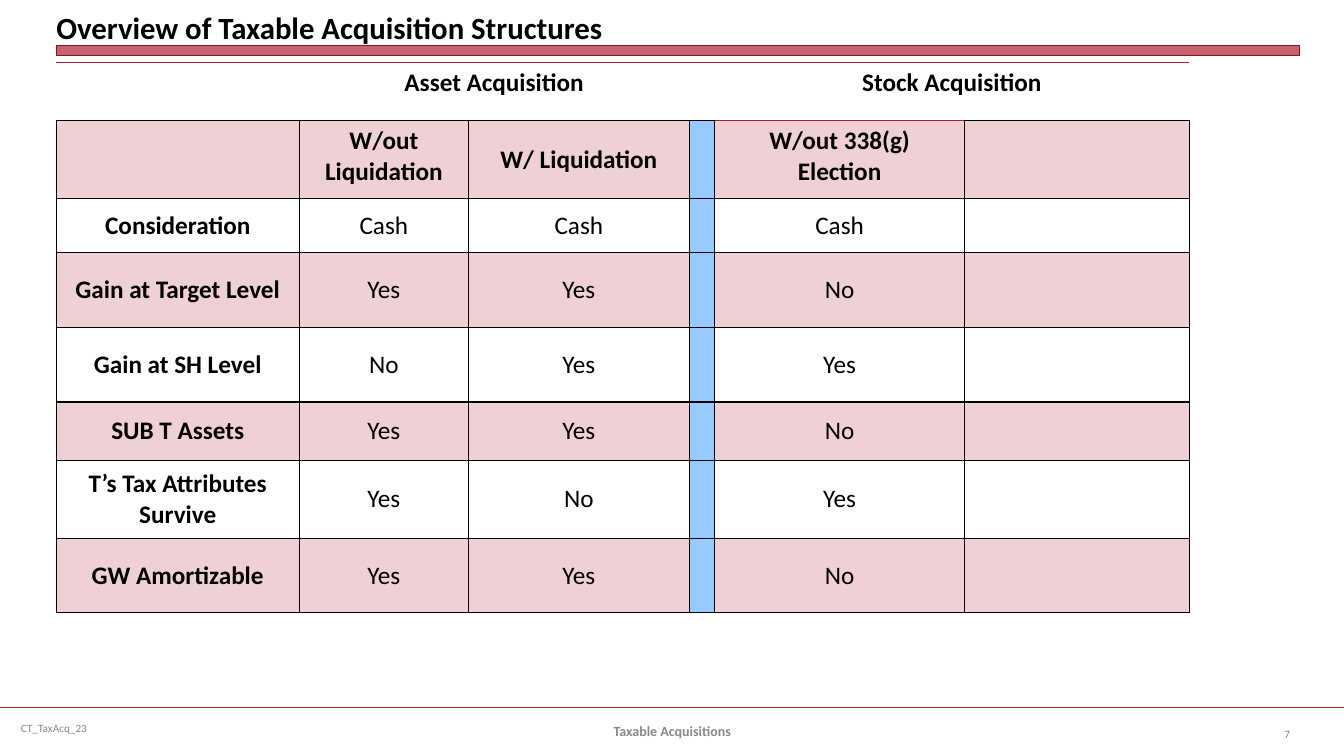
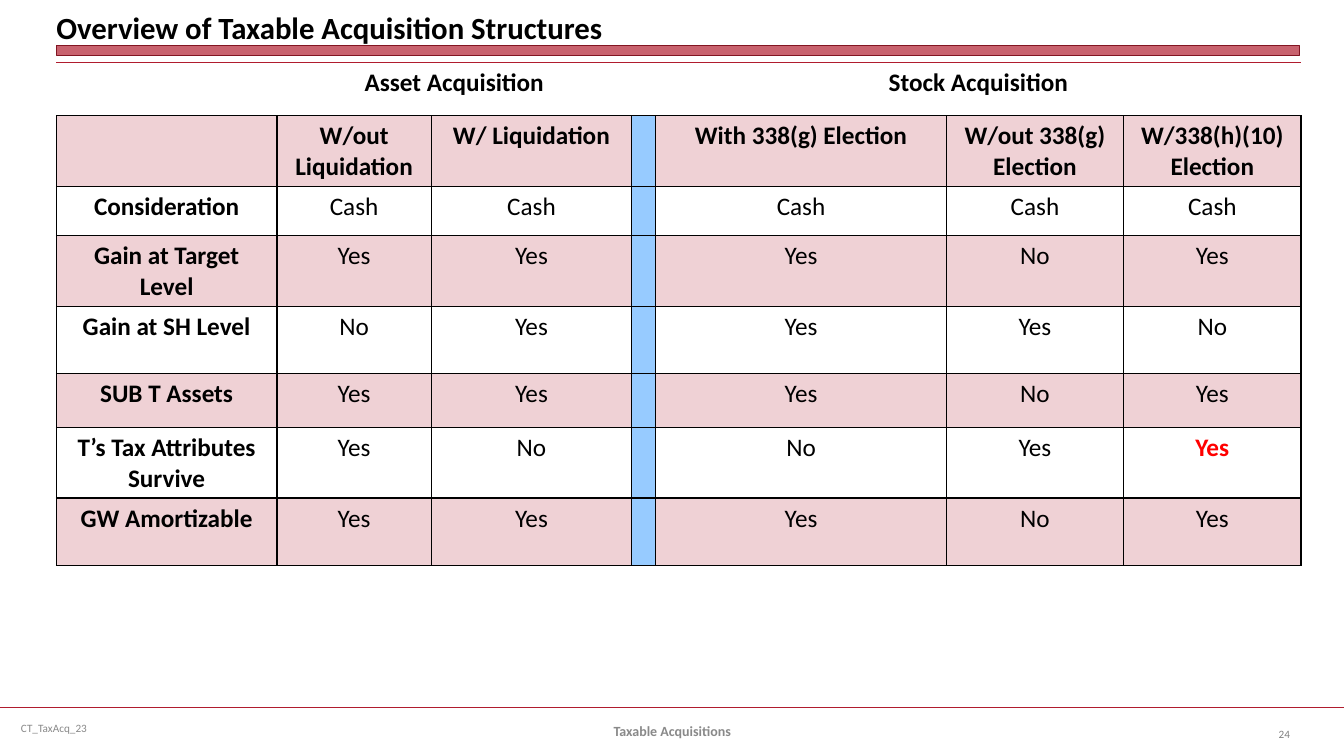
from dataclasses import dataclass
from typing import Any

from lxml import etree
from pptx import Presentation
from pptx.dml.color import RGBColor
from pptx.enum.shapes import MSO_CONNECTOR, MSO_SHAPE
from pptx.enum.text import MSO_ANCHOR, MSO_AUTO_SIZE, PP_ALIGN
from pptx.oxml.ns import qn
from pptx.util import Cm, Pt

LEFT, MID, RIGHT = PP_ALIGN.LEFT, PP_ALIGN.CENTER, PP_ALIGN.RIGHT
TOP, HALF, BASE = MSO_ANCHOR.TOP, MSO_ANCHOR.MIDDLE, MSO_ANCHOR.BOTTOM
FIXED = MSO_AUTO_SIZE.NONE
RECT, LINE = MSO_SHAPE.RECTANGLE, MSO_CONNECTOR.STRAIGHT


@dataclass(frozen=True)
class Theme:
    """Colours, type sizes and shared measures (cm)."""
    font: str = "Calibri"
    ink: str = "000000"
    red: str = "B01C2E"
    edge: str = "821522"
    gap: str = "97CBFF"
    alert: str = "FF0000"
    grey: str = "898989"
    page: str = "808080"
    head: int = 22
    body: int = 18
    foot: int = 10
    small: int = 8
    wide: float = 33.87
    high: float = 19.05
    left: float = 1.42
    span: float = 31.32
    line: float = 1.02
    rule: float = 17.83


T = Theme()


@dataclass(frozen=True)
class Style:
    """Format of one piece of text."""
    size: int
    color: str = T.ink
    bold: bool = False
    align: Any = MID


@dataclass(frozen=True)
class Note:
    """A footer text and its box (cm)."""
    text: str
    left: float
    top: float
    width: float
    style: Style


@dataclass(frozen=True)
class Deal:
    """A table column: heading and one answer per question."""
    head: str = ""
    answers: tuple[str, ...] = ("",) * 6
    alert: int = -1
    split: bool = False


@dataclass(frozen=True)
class Grid:
    """One slide: page number, columns, sizes (cm) and text anchors."""
    page: int
    deals: tuple[Deal, ...]
    cols: tuple[float, ...]
    rows: tuple[float, ...]
    anchor: Any
    high: tuple[int, ...] = ()
    red: tuple[int, ...] = ()


def answer(text: str) -> tuple[str, ...]:
    """Expand Y and N marks into the answers after the cash row."""
    return ("Cash",) + tuple({"Y": "Yes", "N": "No"}[mark] for mark in text)


ASKS = Deal("", ("Consideration", "Gain at Target Level", "Gain at SH Level",
                 "SUB T Assets", "T’s Tax Attributes Survive",
                 "GW Amortizable"))
HOLD = Deal("W/out Liquidation", answer("YNYYY"))
WIND = Deal("W/ Liquidation", answer("YYYNY"))
SPLIT = Deal(split=True)
WITH = Deal("With 338(g) Election", answer("YYYNY"))
SANS = Deal("W/out 338(g) Election", answer("NYNYN"))
JOINT = Deal("W/338(h)(10)\nElection", answer("YNYYY"), alert=4)

GRIDS = (
    Grid(7, (ASKS, HOLD, WIND, SPLIT, SANS, Deal()),
         (6.12, 4.27, 5.56, 0.64, 6.3, 5.66),
         (1.47, 1.96, 1.37, 1.88, 1.88, 1.47, 1.96, 1.88),
         HALF, high=(1, 4), red=(4,)),
    Grid(24, (ASKS, HOLD, WIND, SPLIT, WITH, SANS, JOINT),
         (5.56, 3.89, 5.05, 0.58, 7.32, 4.47, 4.47),
         (1.35, 1.7, 1.24, 1.7, 1.7, 1.35, 1.78, 1.7), TOP),
)


def rgb(code: str) -> RGBColor:
    """Turn a hex code into a colour."""
    return RGBColor.from_string(code)


def apply(item: Any, values: dict[str, Any]) -> None:
    """Set each attribute named in the dict."""
    for name, value in values.items():
        setattr(item, name, value)


def write(frame: Any, text: str, style: Style) -> None:
    """Fill a text frame, one paragraph a line."""
    frame.text = text
    for para in frame.paragraphs:
        para.alignment = style.align
        for run in para.runs:
            apply(run.font, {"name": T.font, "size": Pt(style.size),
                             "bold": style.bold})
            run.font.color.rgb = rgb(style.color)


def paint(fill: Any, node: Any, code: str, share: int = 100) -> None:
    """Fill with a colour at the given percent of opacity."""
    fill.solid()
    fill.fore_color.rgb = rgb(code)
    if share < 100:
        tint = node.find(qn("a:solidFill")).find(qn("a:srgbClr"))
        etree.SubElement(tint, qn("a:alpha"), val=str(share * 1000))


def border(cell: Any, sides: dict[str, str]) -> None:
    """Draw the cell sides L, R, T, B; an empty colour hides a side."""
    props = cell._tc.get_or_add_tcPr()
    for spot, (side, code) in enumerate(sides.items()):
        line = etree.Element(qn(f"a:ln{side}"), w=str(Pt(1)))
        if code:
            fill = etree.SubElement(line, qn("a:solidFill"))
            etree.SubElement(fill, qn("a:srgbClr"), val=code)
        else:
            etree.SubElement(line, qn("a:noFill"))
        props.insert(spot, line)


def title(slide: Any, text: str) -> None:
    """Place and format the title."""
    shape = slide.shapes.title
    apply(shape, {"left": Cm(T.left), "top": Cm(0.13),
                  "width": Cm(T.span), "height": Cm(T.line)})
    write(shape.text_frame, text, Style(T.head, bold=True, align=LEFT))
    sides = ("left", "right", "top", "bottom")
    apply(shape.text_frame, {f"margin_{side}": 0 for side in sides})
    apply(shape.text_frame, {"vertical_anchor": BASE, "word_wrap": True,
                             "auto_size": FIXED})


def note(slide: Any, item: Note) -> None:
    """Add one footer text."""
    box = slide.shapes.add_textbox(Cm(item.left), Cm(item.top),
                                   Cm(item.width), Cm(T.line))
    write(box.text_frame, item.text, item.style)
    apply(box.text_frame, {"word_wrap": True, "vertical_anchor": HALF})


def frame(slide: Any, page: int) -> None:
    """Draw the band, the footer rule and the footer texts."""
    rule = slide.shapes.add_connector(LINE, 0, Cm(T.rule),
                                      Cm(T.wide), Cm(T.rule))
    rule.line.color.rgb = rgb(T.red)
    rule.line.width = Pt(1.25)
    etree.SubElement(rule._element.spPr, qn("a:effectLst"))

    band = slide.shapes.add_shape(RECT, Cm(T.left), Cm(1.14),
                                  Cm(T.span), Cm(0.25))
    band.shadow.inherit = False
    paint(band.fill, band._element.spPr, T.red, 69)
    band.line.color.rgb = rgb(T.edge)
    band.line.width = Pt(0)

    for item in (
        Note("CT_TaxAcq_23", 0.28, T.rule, 8.74,
             Style(T.small, T.grey, align=LEFT)),
        Note("Taxable Acquisitions", 11.58, 17.91, 10.72,
             Style(T.foot, T.grey, True)),
        Note(str(page), 31.06, 17.98, 1.7,
             Style(T.small, T.page, align=RIGHT)),
    ):
        note(slide, item)


def groups(table: Any, grid: Grid) -> None:
    """Fill the open top row that names the column groups."""
    last = len(grid.cols) - 1
    for col in range(last + 1):
        cell = table.cell(0, col)
        cell.fill.background()
        base = T.red if col in grid.red else T.ink
        border(cell, {"L": "", "R": "", "T": T.red, "B": base})
    for text, start, end in (("Asset Acquisition", 1, 2),
                             ("Stock Acquisition", 4, last)):
        cell = table.cell(0, start)
        cell.merge(table.cell(0, end))
        write(cell.text_frame, text, Style(T.body, bold=True))


def column(table: Any, grid: Grid, col: int) -> None:
    """Fill one column below the group row."""
    deal = grid.deals[col]
    for row, text in enumerate((deal.head,) + deal.answers, 1):
        cell = table.cell(row, col)
        alert = row - 1 == deal.alert + 1 and deal.alert >= 0
        bold = row == 1 or col == 0 or alert
        write(cell.text_frame, text,
              Style(T.body, T.alert if alert else T.ink, bold))
        high = row == 1 and col in grid.high
        cell.vertical_anchor = TOP if high else grid.anchor
        props = cell._tc.get_or_add_tcPr()
        if deal.split:
            paint(cell.fill, props, T.gap)
        elif row % 2:
            paint(cell.fill, props, T.red, 20)
        else:
            cell.fill.background()
        roof = T.red if row == 1 and col in grid.red else T.ink
        border(cell, {"L": T.ink, "R": T.ink, "T": roof, "B": T.ink})


def chart(slide: Any, grid: Grid) -> None:
    """Add the table that compares the structures."""
    table = slide.shapes.add_table(
        len(grid.rows), len(grid.cols), Cm(T.left), Cm(1.57),
        Cm(sum(grid.cols)), Cm(sum(grid.rows))).table
    apply(table, {"first_row": False, "horz_banding": False})
    for item, size in zip(table.columns, grid.cols):
        item.width = Cm(size)
    for item, size in zip(table.rows, grid.rows):
        item.height = Cm(size)
    groups(table, grid)
    for col in range(len(grid.deals)):
        column(table, grid, col)


def main() -> None:
    """Build and save the deck."""
    deck = Presentation()
    apply(deck, {"slide_width": Cm(T.wide), "slide_height": Cm(T.high)})
    for grid in GRIDS:
        slide = deck.slides.add_slide(deck.slide_layouts[5])
        title(slide, "Overview of Taxable Acquisition Structures")
        frame(slide, grid.page)
        chart(slide, grid)
    deck.save("out.pptx")


main()
